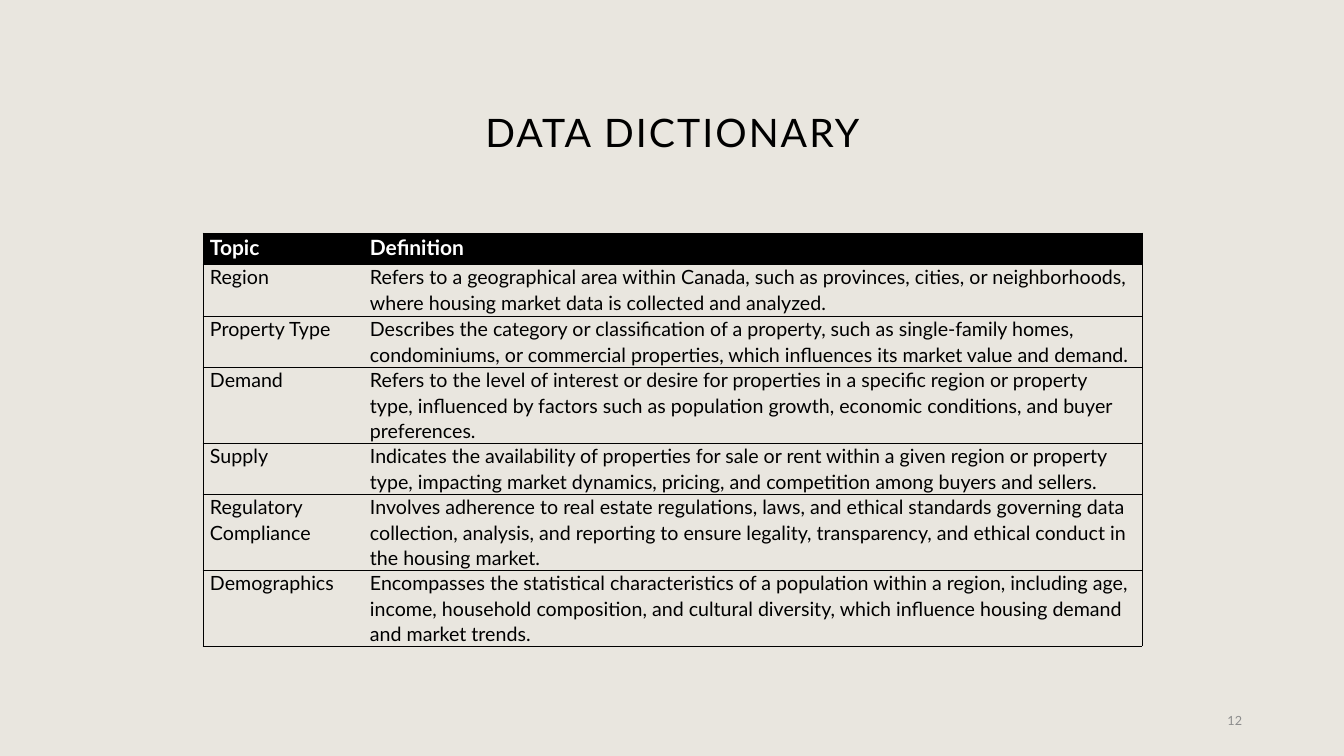
from lxml import etree
from pptx import Presentation
from pptx import util as u
from pptx.dml.color import RGBColor
from pptx.enum import text
from pptx.oxml.ns import qn

SCALE = 914400 / 100.8  # EMU per px
FONT = "Lato"
BACKGROUND = RGBColor(0xE9, 0xE6, 0xDF)
BLACK = RGBColor(0, 0, 0)
WHITE = RGBColor(0xFF, 0xFF, 0xFF)
GREY = RGBColor(0x8C, 0x8C, 0x8C)
PLAIN_STYLE = "{2D5ABB26-0587-4C30-8999-92F81FD0307C}"

COLUMN_WIDTHS = [160, 779]
ROW_HEIGHTS = [31, 52, 51, 76, 51, 76, 76]
ROWS = [
    ("Topic", "Definition"),
    ("Region", "Refers to a geographical area within Canada, such as provinces, cities, "
     "or neighborhoods, where housing market data is collected and analyzed."),
    ("Property Type", "Describes the category or classification of a property, such as "
     "single-family homes, condominiums, or commercial properties, which influences its "
     "market value and demand."),
    ("Demand", "Refers to the level of interest or desire for properties in a specific region "
     "or property type, influenced by factors such as population growth, economic conditions, "
     "and buyer preferences."),
    ("Supply", "Indicates the availability of properties for sale or rent within a given region "
     "or property type, impacting market dynamics, pricing, and competition among buyers "
     "and sellers."),
    ("Regulatory Compliance", "Involves adherence to real estate regulations, laws, and ethical "
     "standards governing data collection, analysis, and reporting to ensure legality, "
     "transparency, and ethical conduct in the housing market."),
    ("Demographics", "Encompasses the statistical characteristics of a population within a "
     "region, including age, income, household composition, and cultural diversity, which "
     "influence housing demand and market trends."),
]


def px(*lengths):
    return [u.Emu(round(length * SCALE)) for length in lengths]


def write(frame, words, size, color=BLACK, bold=False, align=text.PP_ALIGN.LEFT,
          line_spacing=1.0, space_after=0, tracking=0):
    paragraph = frame.paragraphs[0]
    paragraph.alignment = align
    paragraph.line_spacing = line_spacing
    paragraph.space_before = u.Pt(0)
    paragraph.space_after = u.Pt(space_after)
    run = paragraph.add_run()
    run.text = words
    run.font.name = FONT
    run.font.size = u.Pt(size)
    run.font.bold = bold
    run.font.color.rgb = color
    if tracking:
        run.font._element.set("spc", str(round(tracking * 100)))


presentation = Presentation()
presentation.slide_width, presentation.slide_height = px(1344, 756)
slide = presentation.slides.add_slide(presentation.slide_layouts[5])
slide.background.fill.solid()
slide.background.fill.fore_color.rgb = BACKGROUND

# Title
title = slide.shapes.title
title.left, title.top, title.width, title.height = px(93, 15, 1159, 146)
title.text_frame.auto_size = text.MSO_AUTO_SIZE.NONE
title.text_frame.vertical_anchor = text.MSO_ANCHOR.BOTTOM
write(title.text_frame, "DATA DICTIONARY", 28, align=text.PP_ALIGN.CENTER,
      line_spacing=0.9, tracking=1.5)

# Table of topics and definitions
table_frame = slide.shapes.add_table(
    len(ROWS), 2, *px(203, 233, sum(COLUMN_WIDTHS), sum(ROW_HEIGHTS)))
table = table_frame.table
table.horz_banding = False
table._tbl.tblPr.find(qn("a:tableStyleId")).text = PLAIN_STYLE
for column, width in zip(table.columns, px(*COLUMN_WIDTHS)):
    column.width = width
for row, height in zip(table.rows, px(*ROW_HEIGHTS)):
    row.height = height

for row_index, row_words in enumerate(ROWS):
    header = row_index == 0
    for column_index, words in enumerate(row_words):
        cell = table.cell(row_index, column_index)
        cell.margin_left, cell.margin_right, cell.margin_top, cell.margin_bottom = px(7, 7, 0, 0)
        write(cell.text_frame, words, 15 if header else 14, color=WHITE if header else BLACK,
              bold=header, line_spacing=1.07, space_after=8)

        # Rules around every row, none between the columns
        properties = cell._tc.get_or_add_tcPr()
        for side in ("lnL" if column_index == 0 else "lnR", "lnT", "lnB"):
            line = etree.SubElement(properties, qn(f"a:{side}"), w=str(u.Pt(0.5)))
            fill = etree.SubElement(line, qn("a:solidFill"))
            etree.SubElement(fill, qn("a:srgbClr"), val=str(BLACK))
        if header:
            cell.fill.solid()
            cell.fill.fore_color.rgb = BLACK
        else:
            cell.fill.background()

# Slide number
number = slide.shapes.add_textbox(*px(950, 701, 302, 40))
number.text_frame.word_wrap = True
number.text_frame.vertical_anchor = text.MSO_ANCHOR.MIDDLE
write(number.text_frame, "12", 9, color=GREY, align=text.PP_ALIGN.RIGHT, space_after=6)

presentation.save("out.pptx")
